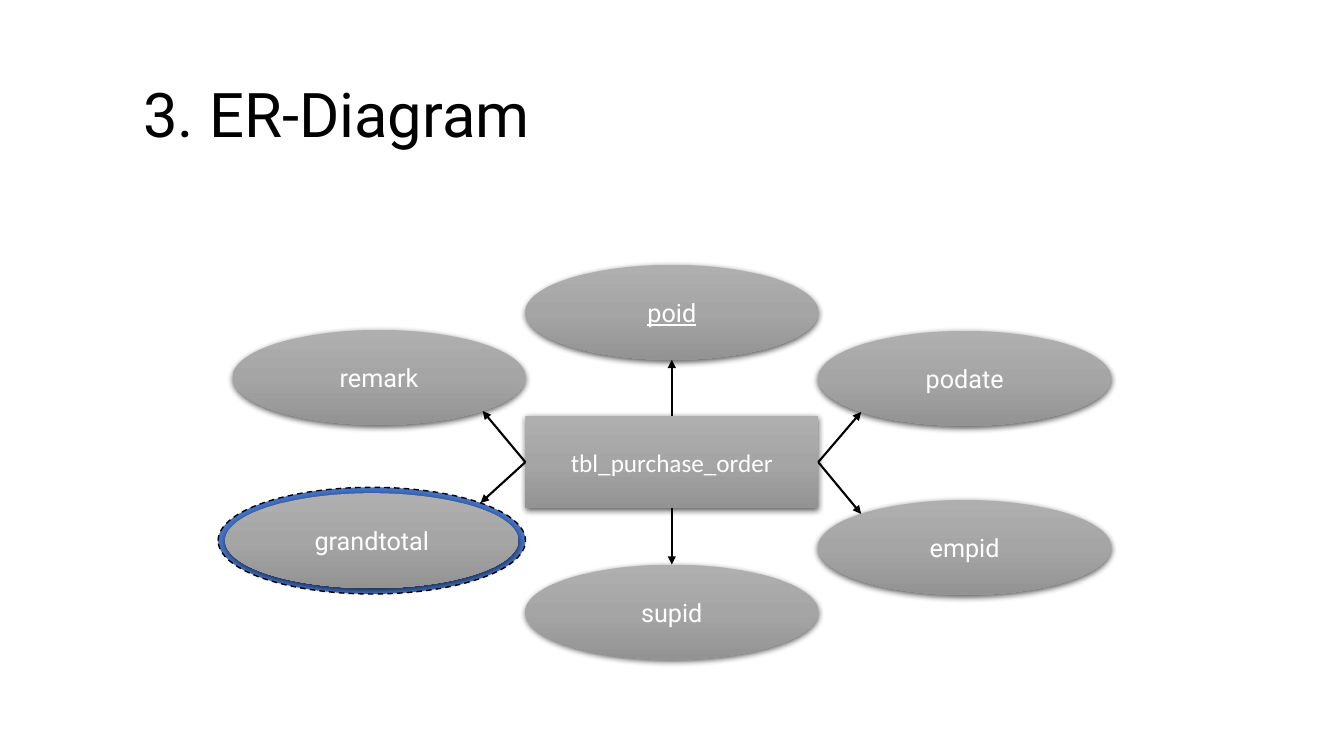
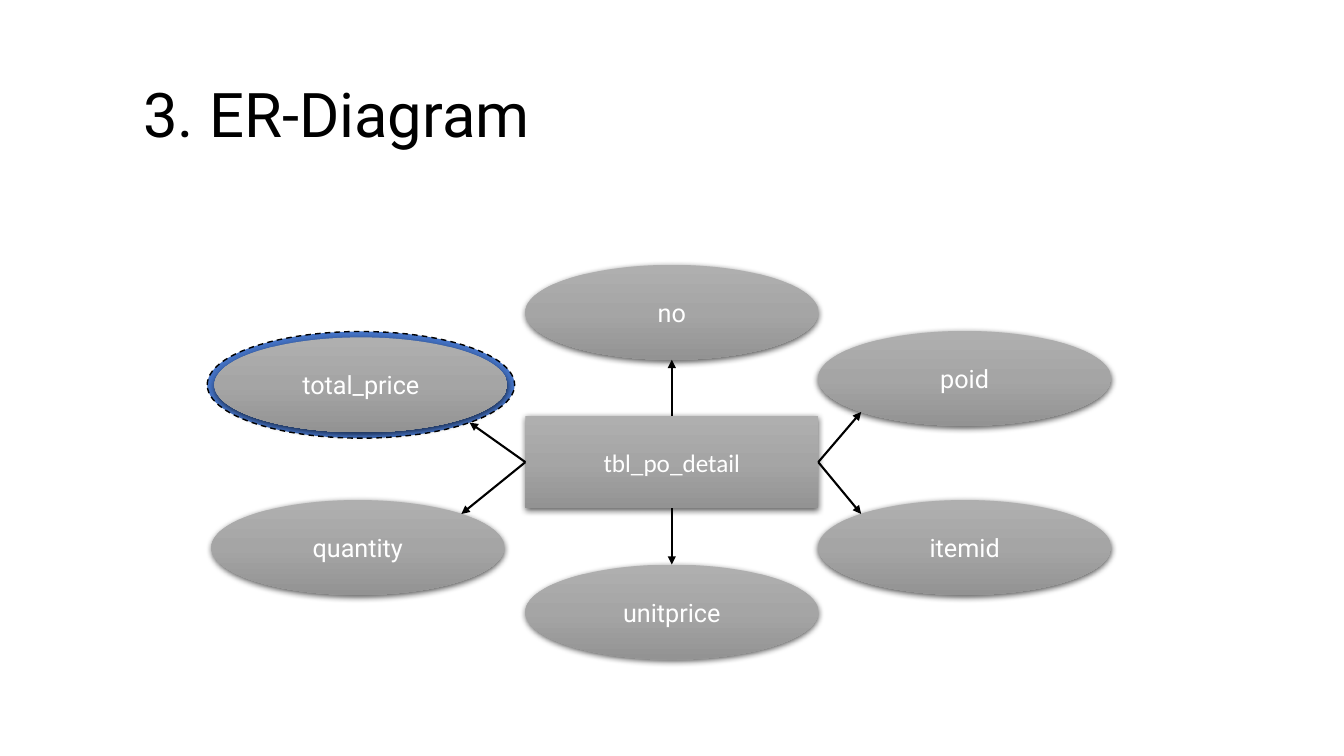
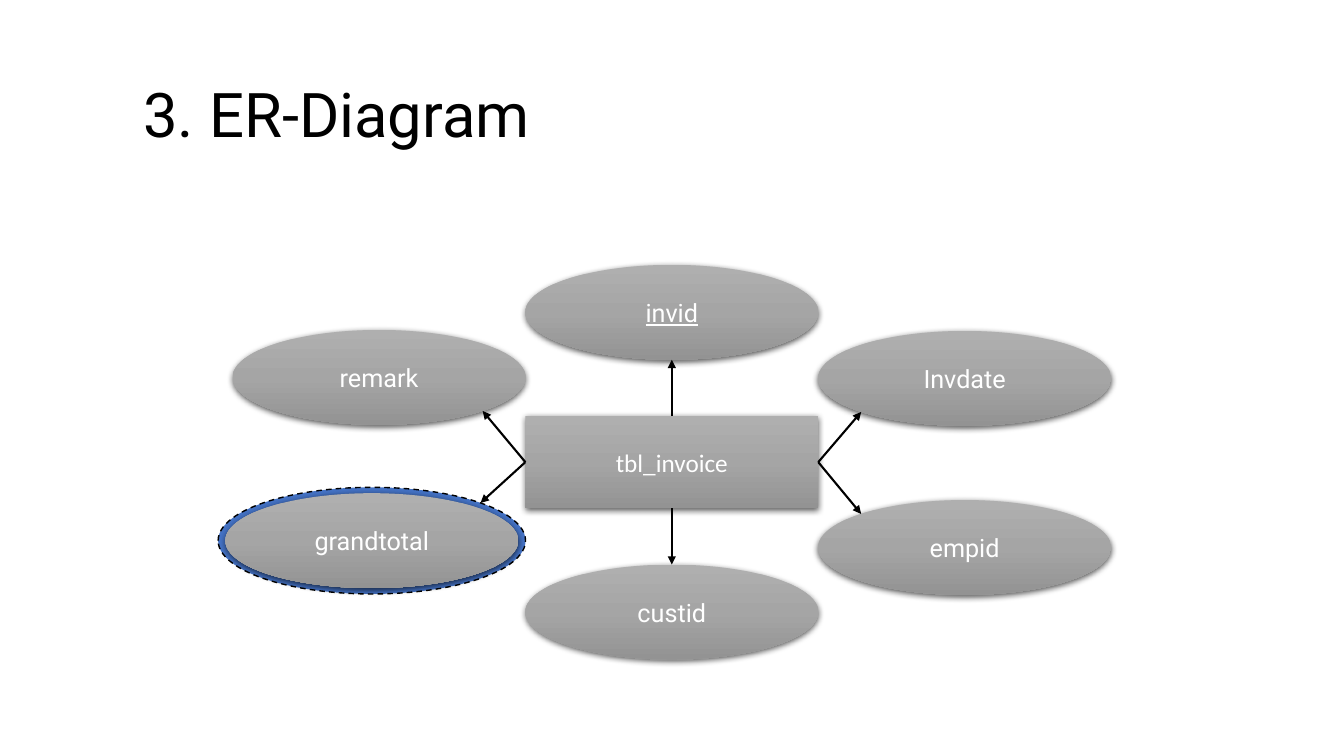
from copy import deepcopy
from dataclasses import dataclass
from math import cos, radians, sin

from lxml.etree import SubElement
from pptx import Presentation
from pptx.dml.color import RGBColor as Color
from pptx.enum.dml import MSO_LINE_DASH_STYLE as Dash
from pptx.enum.shapes import MSO_CONNECTOR as Connector, MSO_SHAPE as Preset
from pptx.enum.text import MSO_ANCHOR as Anchor, MSO_AUTO_SIZE as AutoSize, PP_ALIGN as Align
from pptx.oxml.ns import qn
from pptx.util import Pt


@dataclass(frozen=True)
class Theme:
    ink: str = "000000"
    paper: str = "FFFFFF"
    ring: str = "4472C4"
    gradient: tuple = ((0, "AFAFAF"), (0.5, "A5A5A5"), (1, "939393"))
    font: str = "Roboto"
    entity_font: str = "Calibri"
    title_size: float = 44
    label_size: float = 18
    arrow_width: float = 1.5
    ring_width: float = 1


@dataclass(frozen=True)
class Slot:
    """Place of an oval, and the entity side and oval site its arrow joins."""
    left: float
    top: float
    side: int
    site: int


@dataclass(frozen=True)
class Attribute:
    name: str
    slot: Slot
    key: bool = False
    derived: bool = False


THEME = Theme()
PAGE_SIZE = 960, 540
TITLE_BOX = 95, 24.5, 770.4, 118.8
OVAL_SIZE = 209.2, 67.8
RING_MARGIN = 5.2, 4.2
ENTITY_BOX = 375.3, 297.3, 209.2, 65.6

# Sides and sites count anticlockwise from the top.
SIDE_TOP, SIDE_LEFT, SIDE_BOTTOM, SIDE_RIGHT = range(4)
TOP, TOP_LEFT, LEFT, BOTTOM_LEFT, BOTTOM, BOTTOM_RIGHT, RIGHT, TOP_RIGHT = range(8)

ABOVE = Slot(375.3, 189.2, SIDE_TOP, BOTTOM)
UPPER_RIGHT = Slot(584.5, 236.4, SIDE_RIGHT, BOTTOM_LEFT)
LOWER_RIGHT = Slot(584.5, 357.2, SIDE_RIGHT, TOP_LEFT)
BELOW = Slot(375.3, 403.3, SIDE_BOTTOM, TOP)
UPPER_LEFT = Slot(166.2, 235.7, SIDE_LEFT, BOTTOM_RIGHT)
LOWER_LEFT = Slot(161, 352.3, SIDE_LEFT, TOP_RIGHT)
UPPER_FAR_LEFT = Slot(153.2, 241, SIDE_LEFT, BOTTOM_RIGHT)
LOWER_FAR_LEFT = Slot(151, 357.2, SIDE_LEFT, TOP_RIGHT)

DIAGRAMS = {
    "tbl_purchase_order": (
        Attribute("poid", ABOVE, key=True),
        Attribute("podate", UPPER_RIGHT),
        Attribute("empid", LOWER_RIGHT),
        Attribute("supid", BELOW),
        Attribute("remark", UPPER_LEFT),
        Attribute("grandtotal", LOWER_LEFT, derived=True),
    ),
    "tbl_po_detail": (
        Attribute("no", ABOVE),
        Attribute("poid", UPPER_RIGHT),
        Attribute("itemid", LOWER_RIGHT),
        Attribute("unitprice", BELOW),
        Attribute("quantity", LOWER_FAR_LEFT),
        Attribute("total_price", UPPER_FAR_LEFT, derived=True),
    ),
    "tbl_invoice": (
        Attribute("invid", ABOVE, key=True),
        Attribute("Invdate", UPPER_RIGHT),
        Attribute("empid", LOWER_RIGHT),
        Attribute("custid", BELOW),
        Attribute("remark", UPPER_LEFT),
        Attribute("grandtotal", LOWER_LEFT, derived=True),
    ),
}


def rgb(value):
    return Color.from_string(value)


def write(shape, text, *, size, color, font=THEME.font, align=Align.CENTER,
          underline=None, spacing=None):
    frame = shape.text_frame
    frame.word_wrap = True
    frame.auto_size = AutoSize.NONE
    frame.vertical_anchor = Anchor.MIDDLE
    para = frame.paragraphs[0]
    para.alignment = align
    para.line_spacing = spacing
    span = para.add_run()
    span.text = text
    span.font.name = font
    span.font.size = Pt(size)
    span.font.color.rgb = rgb(color)
    span.font.underline = underline


def add_preset(page, preset, box):
    shape = page.shapes.add_shape(preset, *map(Pt, box))
    shape.shadow.inherit = False
    return shape


def fill_gradient(shape):
    shape.fill.gradient()
    shape.fill.gradient_angle = 270
    stop_list = shape._element.spPr.find(".//" + qn("a:gsLst"))
    stop_list.append(deepcopy(stop_list[0]))
    for stop, (position, color) in zip(shape.fill.gradient_stops, THEME.gradient):
        stop.position = position
        stop.color.rgb = rgb(color)


def cast_shadow(shape):
    effects = shape._element.spPr.find(qn("a:effectLst"))
    shadow = SubElement(effects, qn("a:outerShdw"), blurRad=str(Pt(4.5)), dist=str(Pt(1.5)),
                        dir="5400000", algn="ctr", rotWithShape="0")
    color = SubElement(shadow, qn("a:srgbClr"), val=THEME.ink)
    SubElement(color, qn("a:alpha"), val="63000")


def add_node(page, preset, box, text, **text_format):
    """Add a grey shaded shape with a white label."""
    node = add_preset(page, preset, box)
    fill_gradient(node)
    node.line.fill.background()
    cast_shadow(node)
    write(node, text, size=THEME.label_size, color=THEME.paper, **text_format)
    return node


def add_ring(page, box):
    """Add the dashed oval that marks a derived attribute."""
    left, top, width, height = box
    across, down = RING_MARGIN
    ring = add_preset(page, Preset.OVAL,
                      (left - across, top - down, width + 2 * across, height + 2 * down))
    ring.fill.solid()
    ring.fill.fore_color.rgb = rgb(THEME.ring)
    ring.line.color.rgb = rgb(THEME.ink)
    ring.line.width = Pt(THEME.ring_width)
    ring.line.dash_style = Dash.DASH
    return ring


def add_attribute(page, attribute):
    """Add an attribute and return the outermost oval, which its arrow joins."""
    box = (attribute.slot.left, attribute.slot.top, *OVAL_SIZE)
    ring = add_ring(page, box) if attribute.derived else None
    oval = add_node(page, Preset.OVAL, box, attribute.name, underline=attribute.key or None)
    return ring or oval


def site_point(oval, site):
    angle = radians(90 + 45 * site)
    return (round(oval.left + oval.width / 2 * (1 + cos(angle))),
            round(oval.top + oval.height / 2 * (1 - sin(angle))))


def add_arrow(page, entity, oval, slot):
    arrow = page.shapes.add_connector(Connector.STRAIGHT, 0, 0, *site_point(oval, slot.site))
    arrow.begin_connect(entity, slot.side)
    SubElement(arrow._element.nvCxnSpPr.cNvCxnSpPr, qn("a:endCxn"),
               id=str(oval.shape_id), idx=str(slot.site))
    arrow.line.color.rgb = rgb(THEME.ink)
    arrow.line.width = Pt(THEME.arrow_width)
    SubElement(arrow.line._get_or_add_ln(), qn("a:tailEnd"), type="triangle")
    SubElement(arrow._element.spPr, qn("a:effectLst"))


def place_title(layout):
    title = next(iter(layout.placeholders))
    title.left, title.top, title.width, title.height = map(Pt, TITLE_BOX)


def add_diagram(deck, layout, entity_name, attributes):
    page = deck.slides.add_slide(layout)
    write(page.shapes.title, "3. ER-Diagram", size=THEME.title_size, color=THEME.ink,
          align=Align.LEFT, spacing=0.9)
    ovals = [add_attribute(page, attribute) for attribute in attributes]
    entity = add_node(page, Preset.RECTANGLE, ENTITY_BOX, entity_name, font=THEME.entity_font)
    for oval, attribute in zip(ovals, attributes):
        add_arrow(page, entity, oval, attribute.slot)


def main():
    deck = Presentation()
    deck.slide_width, deck.slide_height = map(Pt, PAGE_SIZE)
    layout = deck.slide_layouts.get_by_name("Title Only")
    place_title(layout)
    for entity_name, attributes in DIAGRAMS.items():
        add_diagram(deck, layout, entity_name, attributes)
    deck.save("out.pptx")


if __name__ == "__main__":
    main()
